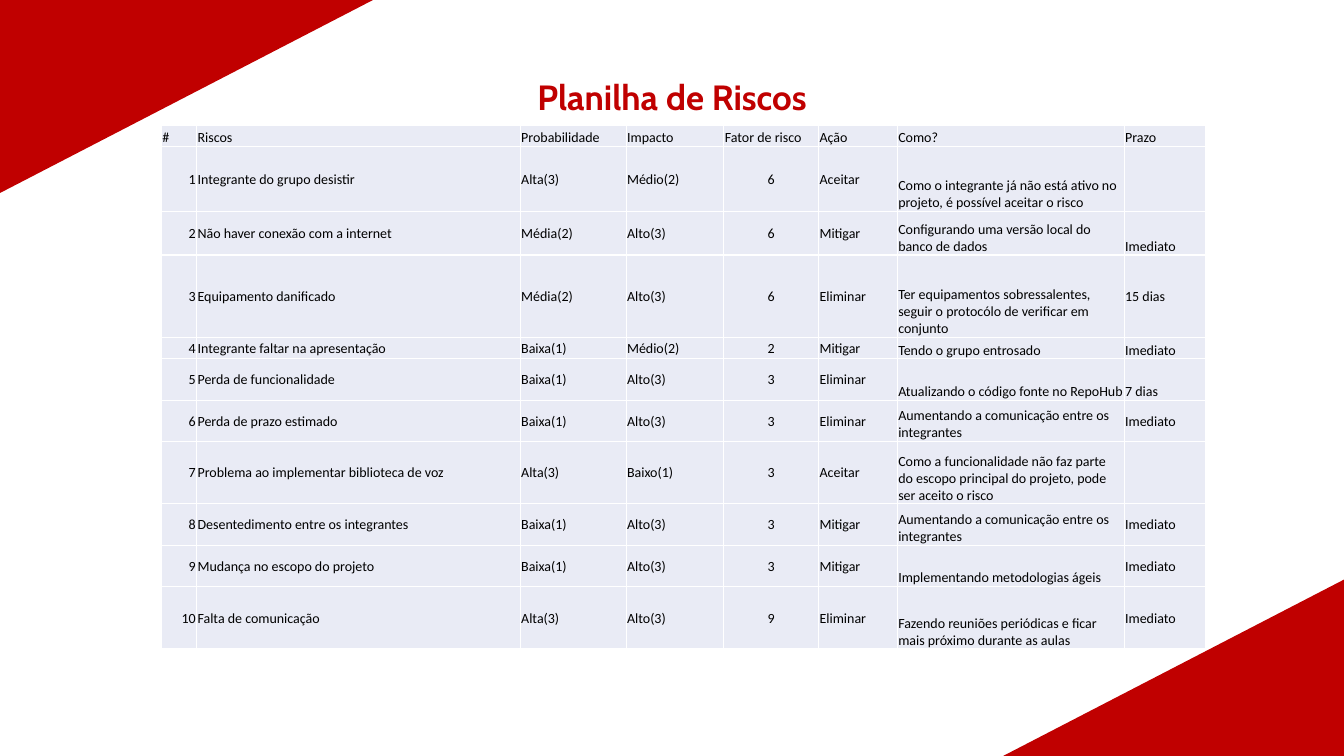
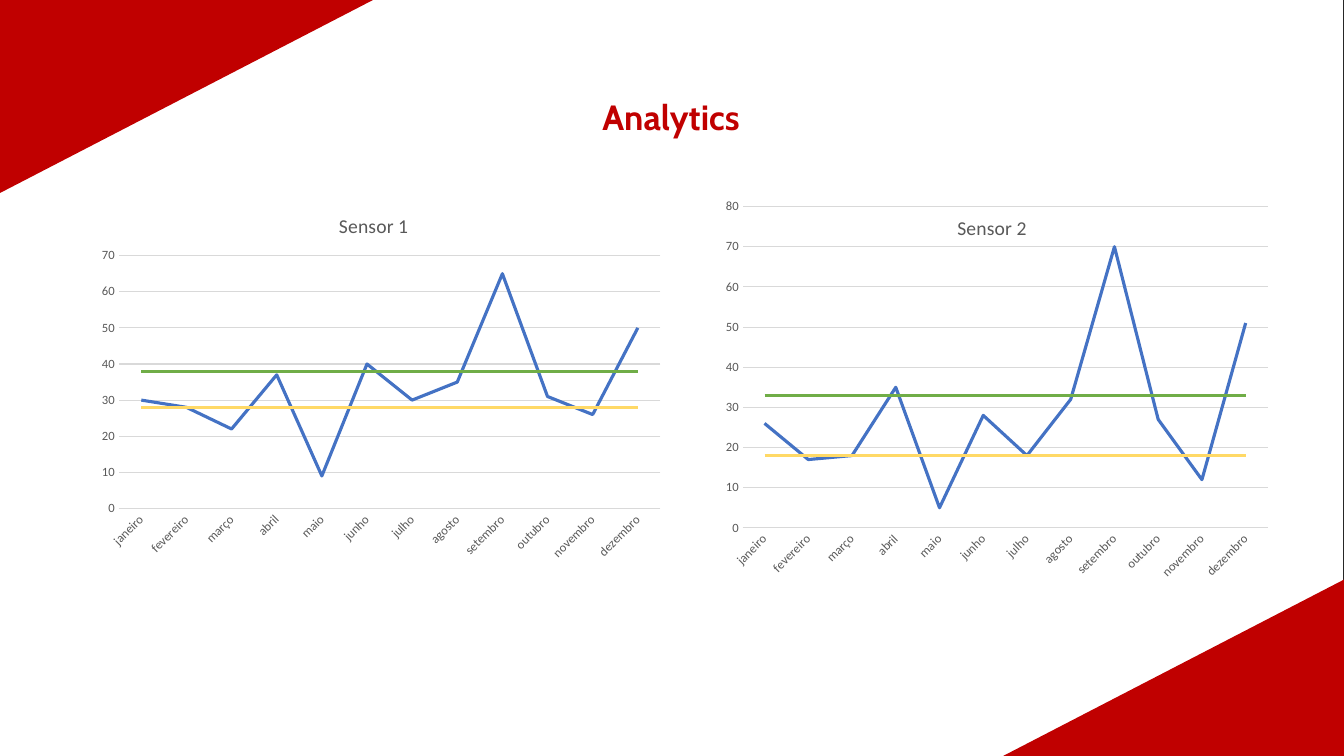
from pptx import Presentation
from pptx.chart.data import CategoryChartData
from pptx.dml.color import RGBColor
from pptx.enum.chart import XL_CHART_TYPE as CT, XL_TICK_MARK as TICK
from pptx.enum.shapes import MSO_SHAPE as SHAPE
from pptx.enum.text import MSO_ANCHOR as ANCHOR, MSO_AUTO_SIZE as FIT, PP_ALIGN as ALIGN
from pptx.oxml import parse_xml
from pptx.oxml.ns import nsdecls, qn
from pptx.util import Inches, Pt

COLORS = {
    "backdrop": "262626", "white": "FFFFFF", "red": "C00000", "cell": "E9EBF5",
    "black": "000000", "label": "595959", "grid": "D9D9D9",
    "blue": "4472C4", "yellow": "FFD966", "green": "70AD47",
}
TITLE_FONT = {"name": "Cabin", "size": Pt(25), "bold": True}
CELL_FONT = {"name": "Calibri", "size": Pt(10), "bold": False}
AXIS_FONT = {"name": "Calibri", "size": Pt(9), "bold": False}
CHART_TITLE_FONT = {"name": "Calibri", "size": Pt(14), "bold": False}

HEADERS = ["#", "Riscos", "Probabilidade", "Impacto", "Fator de risco", "Ação", "Como?", "Prazo"]
RISKS = [
    ("Integrante do grupo desistir", "Alta(3)", "Médio(2)", "6", "Aceitar",
     "Como o integrante já não está ativo no projeto, é possível aceitar o risco", ""),
    ("Não haver conexão com a internet", "Média(2)", "Alto(3)", "6", "Mitigar",
     "Configurando uma versão local do banco de dados", "Imediato"),
    ("Equipamento danificado", "Média(2)", "Alto(3)", "6", "Eliminar",
     "Ter equipamentos sobressalentes, seguir o protocólo de verificar em conjunto", "15 dias"),
    ("Integrante faltar na apresentação", "Baixa(1)", "Médio(2)", "2", "Mitigar",
     "Tendo o grupo entrosado", "Imediato"),
    ("Perda de funcionalidade", "Baixa(1)", "Alto(3)", "3", "Eliminar",
     "Atualizando o código fonte no RepoHub", "7 dias"),
    ("Perda de prazo estimado", "Baixa(1)", "Alto(3)", "3", "Eliminar",
     "Aumentando a comunicação entre os integrantes", "Imediato"),
    ("Problema ao implementar biblioteca de voz", "Alta(3)", "Baixo(1)", "3", "Aceitar",
     "Como a funcionalidade não faz parte do escopo principal do projeto, pode ser aceito o risco", ""),
    ("Desentedimento entre os integrantes", "Baixa(1)", "Alto(3)", "3", "Mitigar",
     "Aumentando a comunicação entre os integrantes", "Imediato"),
    ("Mudança no escopo do projeto", "Baixa(1)", "Alto(3)", "3", "Mitigar",
     "Implementando metodologias ágeis", "Imediato"),
    ("Falta de comunicação", "Alta(3)", "Alto(3)", "9", "Eliminar",
     "Fazendo reuniões periódicas e ficar mais próximo durante as aulas", "Imediato"),
]
COL_WIDTHS = [0.35, 3.21, 1.05, 0.97, 0.94, 0.78, 2.25, 0.81]
ROW_HEIGHTS = [0.21, 0.65, 0.43, 0.82, 0.21, 0.41, 0.41, 0.62, 0.41, 0.41, 0.62]
HOW_COL, DEADLINE_COL = 6, 7
LOW_DEADLINE_ROWS = {2, 4, 5}
COL_ALIGN = {0: ALIGN.RIGHT, 4: ALIGN.CENTER}

MONTHS = ["janeiro", "fevereiro", "março", "abril", "maio", "junho", "julho",
          "agosto", "setembro", "outubro", "novembro", "dezembro"]
SENSORS = [
    {"title": "Sensor 2", "box": (6.97, 1.92, 5.66, 4.31), "max": 80,
     "plot": (0.07, 0.03, 0.92, 0.74), "title_at": (0.44, 0.04),
     "readings": [26, 17, 18, 35, 5, 28, 18, 32, 70, 27, 12, 51], "low": 18, "high": 33},
    {"title": "Sensor 1", "box": (0.7, 1.87, 5.97, 3.92), "max": 70,
     "plot": (0.08, 0.17, 0.9, 0.64), "title_at": (0.44, 0.05),
     "readings": [30, 28, 22, 37, 9, 40, 30, 35, 65, 31, 26, 50], "low": 28, "high": 38},
]


def rgb(color):
    return RGBColor.from_string(COLORS[color])


def style(font, values, color):
    for name, value in values.items():
        setattr(font, name, value)
    font.color.rgb = rgb(color)


def paint(fill, color):
    fill.solid()
    fill.fore_color.rgb = rgb(color)


def add_block(s, kind, box, color, flip=None):
    sp = s.shapes.add_shape(kind, *map(Inches, box))
    sp.shadow.inherit = False
    paint(sp.fill, color)
    sp.line.fill.background()
    if flip:
        sp._element.spPr.xfrm.set(flip, "1")


def add_slide(prs, title, title_at, panel_left):
    s = prs.slides.add_slide(prs.slide_layouts[6])
    paint(s.background.fill, "backdrop")
    add_block(s, SHAPE.RECTANGLE, (panel_left, 0, 13.33, 7.67), "white")
    add_block(s, SHAPE.RIGHT_TRIANGLE, (9.62, 5.75, 3.71, 1.92), "red", "flipH")
    add_block(s, SHAPE.RIGHT_TRIANGLE, (-0.01, 0, 3.71, 1.92), "red", "flipV")
    tf = s.shapes.add_textbox(*map(Inches, (*title_at, 11.03, 0.65))).text_frame
    tf.word_wrap = True
    tf.auto_size = FIT.SHAPE_TO_FIT_TEXT
    p = tf.paragraphs[0]
    p.alignment, p.line_spacing = ALIGN.CENTER, 1.5
    r = p.add_run()
    r.text = title
    style(r.font, TITLE_FONT, "red")
    return s


def add_borders(cell):
    tc_pr = cell._tc.get_or_add_tcPr()
    for i, side in enumerate(("lnL", "lnR", "lnT", "lnB")):
        tc_pr.insert(i, parse_xml(
            f'<a:{side} {nsdecls("a")} w="{Pt(1)}"><a:solidFill>'
            f'<a:srgbClr val="{COLORS["white"]}"/></a:solidFill></a:{side}>'))


def add_risk_table(s):
    rows = [HEADERS] + [(str(n), *risk) for n, risk in enumerate(RISKS, 1)]
    box = (1.6, 1.24, sum(COL_WIDTHS), sum(ROW_HEIGHTS))
    table = s.shapes.add_table(len(rows), len(HEADERS), *map(Inches, box)).table
    table.first_row = table.horz_banding = False
    for col, width in zip(table.columns, COL_WIDTHS):
        col.width = Inches(width)
    for i, (row, height) in enumerate(zip(table.rows, ROW_HEIGHTS)):
        row.height = Inches(height)
        for j, text in enumerate(rows[i]):
            cell = table.cell(i, j)
            low = i == 0 or j == HOW_COL or (j == DEADLINE_COL and i in LOW_DEADLINE_ROWS)
            cell.vertical_anchor = ANCHOR.BOTTOM if low else ANCHOR.MIDDLE
            cell.margin_left = cell.margin_right = cell.margin_top = Inches(0.01)
            cell.margin_bottom = 0
            paint(cell.fill, "cell")
            add_borders(cell)
            p = cell.text_frame.paragraphs[0]
            p.alignment = COL_ALIGN.get(j, ALIGN.LEFT) if i else ALIGN.LEFT
            style(p.font, CELL_FONT, "black")
            if text:
                r = p.add_run()
                r.text = text
                style(r.font, CELL_FONT, "black")


def set_layout(parent, index, values, inner=False):
    for old in parent.findall(qn("c:layout")):
        parent.remove(old)
    target = '<c:layoutTarget val="inner"/>' if inner else ""
    keys = ("x", "y", "w", "h")[:len(values)]
    modes = "".join(f'<c:{k}Mode val="edge"/>' for k in keys[:2])
    sizes = "".join(f'<c:{k} val="{v}"/>' for k, v in zip(keys, values))
    parent.insert(index, parse_xml(
        f'<c:layout {nsdecls("c")}><c:manualLayout>{target}{modes}{sizes}'
        '</c:manualLayout></c:layout>'))


def add_sensor_chart(s, sensor):
    data = CategoryChartData()
    data.categories = MONTHS
    lines = [sensor["readings"]] + [[sensor[k]] * len(MONTHS) for k in ("low", "high")]
    for n, values in enumerate(lines, 1):
        data.add_series(f"Series {n}", values)
    chart = s.shapes.add_chart(CT.LINE, *map(Inches, sensor["box"]), data).chart
    style(chart.font, CELL_FONT, "black")
    chart.has_legend = False
    chart.plots[0].vary_by_categories = False
    for series, color in zip(chart.plots[0].series, ("blue", "yellow", "green")):
        series.smooth = False
        series.format.line.width = Pt(2.25)
        series.format.line.color.rgb = rgb(color)

    chart.has_title = True
    p = chart.chart_title.text_frame.paragraphs[0]
    r = p.add_run()
    r.text = sensor["title"]
    style(r.font, CHART_TITLE_FONT, "label")
    chart.chart_title.include_in_layout = False
    set_layout(chart.chart_title._element, 1, sensor["title_at"])

    cat, val = chart.category_axis, chart.value_axis
    for axis in (cat, val):
        axis.major_tick_mark = axis.minor_tick_mark = TICK.NONE
        style(axis.tick_labels.font, AXIS_FONT, "label")
    val.minimum_scale, val.maximum_scale, val.major_unit = 0, sensor["max"], 10
    val.has_major_gridlines = True
    val.format.line.fill.background()
    for line in (cat.format.line, val.major_gridlines.format.line):
        line.width = Pt(0.75)
        line.color.rgb = rgb("grid")
    cat._element.find(qn("c:txPr")).find(qn("a:bodyPr")).set("rot", "-2700000")

    plot_area = chart._chartSpace.chart.plotArea
    set_layout(plot_area, 0, sensor["plot"], inner=True)
    plot_area.append(parse_xml(
        f'<c:spPr {nsdecls("c", "a")}><a:solidFill>'
        f'<a:srgbClr val="{COLORS["white"]}"/></a:solidFill></c:spPr>'))


def main():
    prs = Presentation()
    prs.slide_width, prs.slide_height = Inches(13.33), Inches(7.5)
    add_risk_table(add_slide(prs, "Planilha de Riscos", (1.15, 0.49), 0))
    s = add_slide(prs, "Analytics", (1.14, 0.69), -0.01)
    for sensor in SENSORS:
        add_sensor_chart(s, sensor)
    prs.save("out.pptx")


if __name__ == "__main__":
    main()
